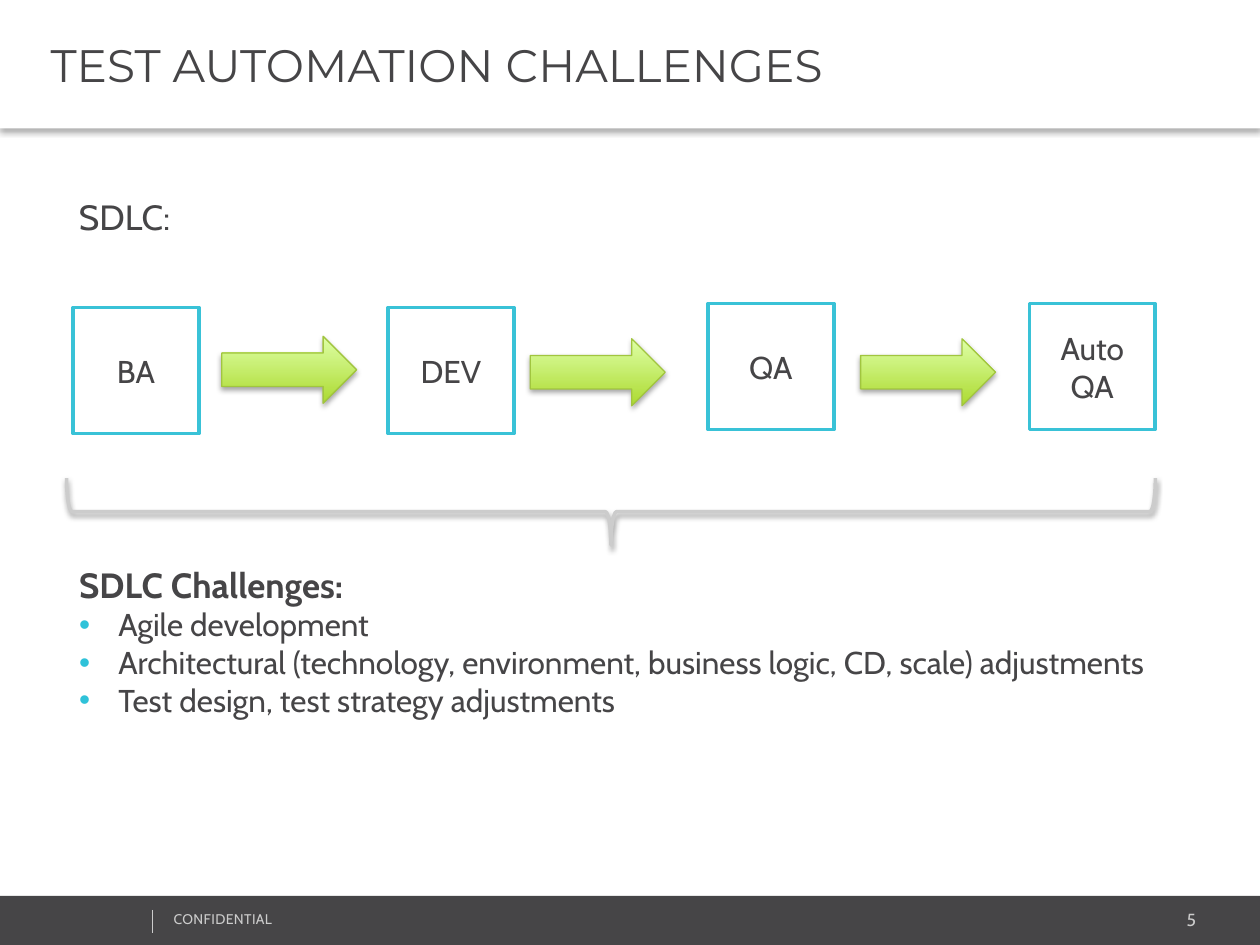
from collections import namedtuple
from dataclasses import dataclass

from lxml.etree import SubElement
from pptx import Presentation
from pptx.dml.color import RGBColor
from pptx.enum.shapes import MSO_CONNECTOR as Connector, MSO_SHAPE as Preset
from pptx.enum.text import MSO_ANCHOR as Anchor, MSO_AUTO_SIZE as AutoSize, PP_ALIGN as Align
from pptx.oxml.ns import qn
from pptx.util import Cm, Pt

Box = namedtuple("Box", "left top width height")


@dataclass(frozen=True)
class Theme:
    """Colours, fonts and type sizes of the slide."""
    white: str = "FFFFFF"
    dark: str = "464547"
    grey: str = "CCCCCC"
    outline: str = "39C2D7"
    bullet: str = "2FC2D9"
    arrow_line: str = "A1C53F"
    arrow_low: str = "ACDA31"
    arrow_high: str = "DEFFA6"
    shadow: str = "000000"
    heading_font: str = "Montserrat"
    body_font: str = "Cabin"
    title: int = 26
    lead: int = 20
    body: int = 18
    number: int = 10
    small: int = 8


THEME = Theme()


def rgb(value):
    """Turn a hex string into a colour."""
    return RGBColor.from_string(value)


def place(shape, box):
    """Move a shape to a box given in centimetres."""
    shape.left, shape.top, shape.width, shape.height = map(Cm, box)


def inside(box, left, top, width, height):
    """Return a box whose offset is measured from another box."""
    return Box(box.left + left, box.top + top, width, height)


def style(paragraph, size, color=THEME.dark, font=THEME.body_font, bold=False, align=Align.LEFT):
    """Format a whole paragraph."""
    paragraph.alignment = align
    paragraph.font.name = font
    paragraph.font.size = Pt(size)
    paragraph.font.bold = bold
    paragraph.font.color.rgb = rgb(color)


def cast_shadow(shape, opacity, distance):
    """Give a shape a soft shadow that falls straight down."""
    shape.shadow.inherit = False
    effects = shape._element.spPr.find(qn("a:effectLst"))
    outer = SubElement(effects, qn("a:outerShdw"), blurRad=str(Pt(3.1)), dist=str(Pt(distance)),
                       dir="5400000", rotWithShape="0")
    color = SubElement(outer, qn("a:srgbClr"), val=THEME.shadow)
    SubElement(color, qn("a:alpha"), val=str(opacity * 1000))


def add_preset(slide, preset, box, fill=None, line=None, width=2):
    """Add a preset shape with a flat fill and line, or none."""
    shape = slide.shapes.add_shape(preset, *map(Cm, box))
    shape.shadow.inherit = False
    if fill:
        shape.fill.solid()
        shape.fill.fore_color.rgb = rgb(fill)
    else:
        shape.fill.background()
    if line:
        shape.line.color.rgb = rgb(line)
        shape.line.width = Pt(width)
    else:
        shape.line.fill.background()
    return shape


def add_label(slide, box, text, size, **formatting):
    """Add a one-paragraph text box."""
    frame = slide.shapes.add_textbox(*map(Cm, box)).text_frame
    frame.word_wrap = True
    frame.text = text
    style(frame.paragraphs[0], size, **formatting)
    return frame.paragraphs[0]


def add_header(slide, box, text):
    """Turn the title placeholder into a white shadowed header band."""
    title = slide.shapes.title
    place(title, box)
    title.fill.solid()
    title.fill.fore_color.rgb = rgb(THEME.white)
    cast_shadow(title, 30, 2)
    frame = title.text_frame
    frame.text = text
    frame.auto_size = AutoSize.NONE
    frame.vertical_anchor = Anchor.MIDDLE
    frame.margin_left = Cm(1.02)
    style(frame.paragraphs[0], THEME.title, font=THEME.heading_font)


def add_footer(slide, box, note, number):
    """Add the dark footer band with its note and page number."""
    add_preset(slide, Preset.RECTANGLE, box, THEME.dark)
    add_label(slide, inside(box, 20.22, 0.15, 4.14, 0.69), number, THEME.number,
              color=THEME.grey, align=Align.RIGHT)
    label = add_label(slide, inside(box, 3.25, 0.18, 6.43, 0.61), note, THEME.small,
                      color=THEME.grey)
    label.runs[0]._r.get_or_add_rPr().set("spc", "20")
    x, top = box.left + 3.07, box.top + 0.28
    divider = slide.shapes.add_connector(Connector.STRAIGHT, Cm(x), Cm(top), Cm(x), Cm(top + 0.46))
    divider.line.color.rgb = rgb(THEME.grey)
    divider.line.width = Pt(0.25)
    SubElement(divider._element.spPr, qn("a:effectLst"))


def add_step(slide, box, text):
    """Add one outlined process step."""
    step = add_preset(slide, Preset.RECTANGLE, box, THEME.white, THEME.outline)
    frame = step.text_frame
    frame.word_wrap = True
    frame.vertical_anchor = Anchor.MIDDLE
    frame.text = text
    style(frame.paragraphs[0], THEME.body, align=Align.CENTER)


def add_arrow(slide, box):
    """Add one green gradient arrow."""
    arrow = add_preset(slide, Preset.RIGHT_ARROW, box, line=THEME.arrow_line, width=0.75)
    arrow.fill.gradient()
    arrow.fill.gradient_angle = 90
    for stop, color in zip(arrow.fill.gradient_stops, (THEME.arrow_low, THEME.arrow_high)):
        stop.color.rgb = rgb(color)
    cast_shadow(arrow, 35, 1.8)


def add_process(slide, box, heading, steps, arrows):
    """Add the heading, the steps, their arrows and the brace below."""
    add_label(slide, inside(box, 0, 0, 2.8, 1.12), heading, THEME.lead)
    for text, left, top in steps:
        add_step(slide, inside(box, left, top, 2.54, 2.54), text)
    for left, top in arrows:
        add_arrow(slide, inside(box, left, top, 2.72, 1.35))
    depth = 1.35
    brace_box = inside(box, (box.width - depth) / 2, box.height - (depth + box.width) / 2,
                       depth, box.width)
    brace = add_preset(slide, Preset.RIGHT_BRACE, brace_box, line=THEME.grey)
    brace.rotation = 90
    cast_shadow(brace, 38, 1.6)


def add_bullet(paragraph):
    """Give a paragraph a coloured bullet and a hanging indent."""
    properties = paragraph._p.get_or_add_pPr()
    properties.set("marL", str(Cm(0.79)))
    properties.set("indent", str(-Cm(0.79)))
    color = SubElement(properties, qn("a:buClr"))
    SubElement(color, qn("a:srgbClr"), val=THEME.bullet)
    SubElement(properties, qn("a:buFont"), typeface="Arial")
    SubElement(properties, qn("a:buChar"), char="•")


def add_challenges(slide, box, heading, items):
    """Fill the body placeholder with a bold heading and a bulleted list."""
    body = slide.placeholders[1]
    place(body, box)
    frame = body.text_frame
    frame.text = "\n".join([heading, *items])
    frame.auto_size = AutoSize.NONE
    first, *rest = frame.paragraphs
    for paragraph in frame.paragraphs:
        paragraph.space_before = Pt(0)
        style(paragraph, THEME.body)
    style(first, THEME.lead, bold=True)
    properties = first._p.get_or_add_pPr()
    properties.set("marL", "0")
    properties.set("indent", "0")
    SubElement(properties, qn("a:buNone"))
    for paragraph in rest:
        add_bullet(paragraph)


def main():
    """Build and save the slide."""
    presentation = Presentation()
    presentation.slide_width, presentation.slide_height = Cm(25.4), Cm(19.05)
    slide = presentation.slides.add_slide(presentation.slide_layouts[1])
    add_header(slide, Box(0, 0, 25.4, 2.59), "TEST AUTOMATION CHALLENGES")
    add_footer(slide, Box(0, 18.06, 25.4, 0.99), "CONFIDENTIAL", "5")
    add_process(slide, Box(1.34, 3.81, 21.95, 7.18), "SDLC:",
                [("BA", 0.13, 2.39), ("DEV", 6.48, 2.39), ("QA", 12.93, 2.31),
                 ("Auto QA", 19.41, 2.31)],
                [(3.13, 2.97), (9.35, 3.02), (16.01, 3.02)])
    add_challenges(slide, Box(1.34, 11.23, 22.81, 4.19), "SDLC Challenges:", [
        "Agile development",
        "Architectural (technology, environment, business logic, CD, scale) adjustments",
        "Test design, test strategy adjustments"])
    presentation.save("out.pptx")


if __name__ == "__main__":
    main()
